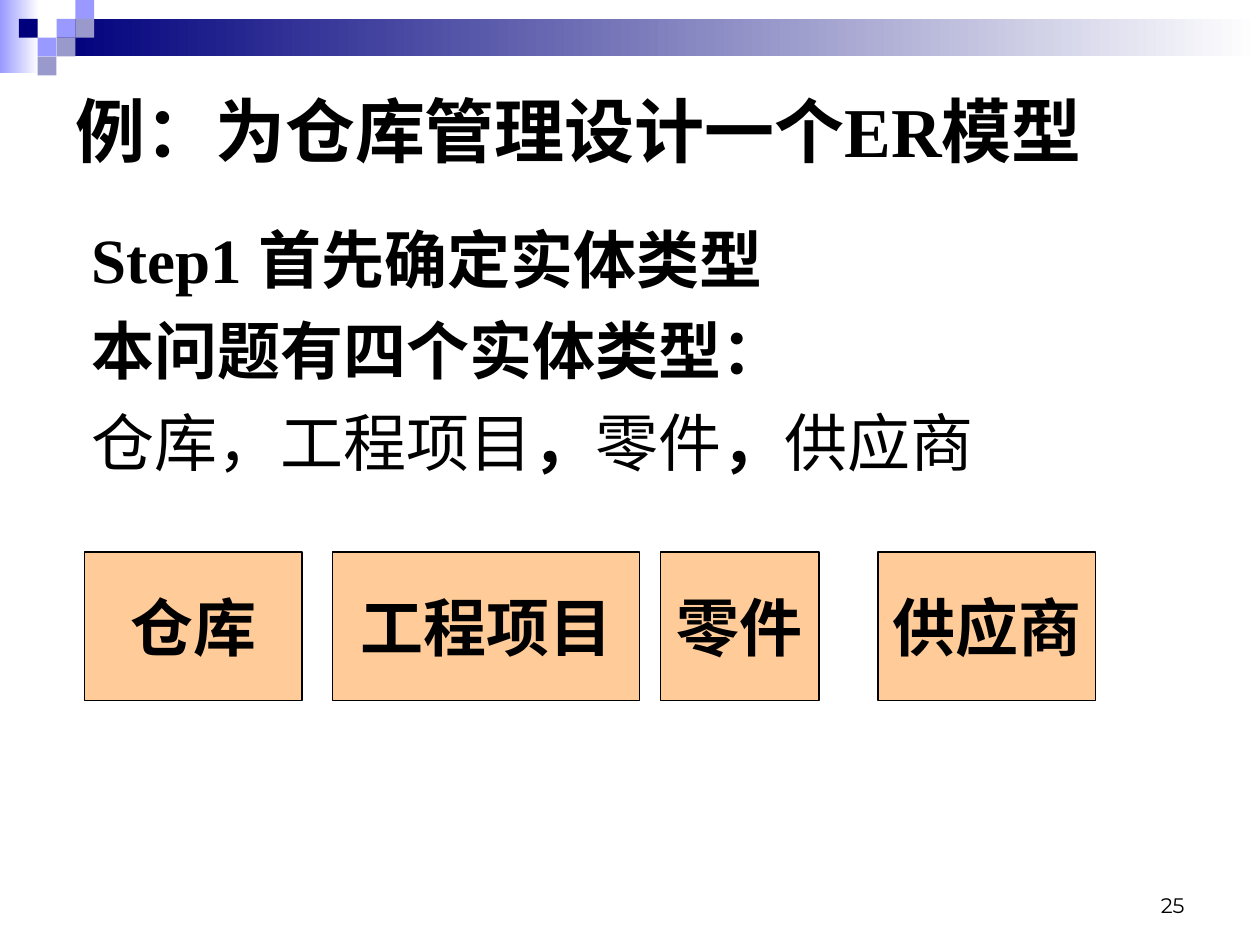
from dataclasses import dataclass

from pptx import Presentation
from pptx.dml.color import RGBColor
from pptx.enum.shapes import MSO_SHAPE
from pptx.enum.text import MSO_ANCHOR, PP_ALIGN
from pptx.util import Cm, Pt

RECTANGLE = MSO_SHAPE.RECTANGLE
TOP, MIDDLE, BOTTOM = MSO_ANCHOR.TOP, MSO_ANCHOR.MIDDLE, MSO_ANCHOR.BOTTOM
LEFT, CENTER, RIGHT = PP_ALIGN.LEFT, PP_ALIGN.CENTER, PP_ALIGN.RIGHT


@dataclass(frozen=True)
class Theme:
    navy: str = "00007D"
    periwinkle: str = "9999FF"
    lavender: str = "9999CC"
    white: str = "FFFFFF"
    black: str = "000000"
    entity_fill: str = "FFCC99"
    text_font: str = "Times New Roman"
    entity_font: str = "Lato"
    number_font: str = "Montserrat"
    title_size: int = 40
    body_size: int = 36
    number_size: int = 12
    line_width: float = 0.75


THEME = Theme()

TITLE = "例：为仓库管理设计一个ER模型"
# Each paragraph is a list of (text, bold) runs.
BODY = [
    [("Step1 首先确定实体类型", True)],
    [("本问题有四个实体类型：", True)],
    [("仓库，工程项目", False), ("，", True), ("零件", False),
     ("，", True), ("供应商", False)],
]
PAGE_NUMBER = "25"

# Entity name, left and width in centimetres.
ENTITIES = [
    ("仓库", 1.7, 4.39),
    ("工程项目", 6.7, 6.2),
    ("零件", 13.31, 3.2),
    ("供应商", 17.7, 4.39),
]
ENTITY_TOP, ENTITY_HEIGHT = 11.13, 3

# Left, top, width, height in centimetres, then the starting colour.
GRADIENT_BARS = [
    (0, 0, 0.79, 1.47, THEME.periwinkle),
    (1.14, 0.38, 24.26, 0.76, THEME.navy),
]
MOSAIC_CELL = 0.38
# Column, row, colour.
MOSAIC = [
    (3, 1, THEME.periwinkle),
    (4, 0, THEME.periwinkle),
    (4, 1, THEME.lavender),
    (2, 2, THEME.periwinkle),
    (1, 1, THEME.navy),
    (3, 2, THEME.lavender),
    (2, 3, THEME.lavender),
]


def color(value):
    return RGBColor.from_string(value)


def add_rectangle(slide, left, top, width, height, fill=None):
    shape = slide.shapes.add_shape(
        RECTANGLE, Cm(left), Cm(top), Cm(width), Cm(height))
    shape.shadow.inherit = False
    shape.line.fill.background()
    if fill:
        shape.fill.solid()
        shape.fill.fore_color.rgb = color(fill)
    return shape


def add_gradient_bar(slide, left, top, width, height, start):
    """Add a bar that fades from its starting colour to white."""
    fill = add_rectangle(slide, left, top, width, height).fill
    fill.gradient()
    fill.gradient_angle = 0
    for stop, value in zip(fill.gradient_stops, (start, THEME.white)):
        stop.color.rgb = color(value)


def format_run(run, font, size, bold):
    run.font.name = font
    run.font.size = Pt(size)
    run.font.bold = bold
    run.font.color.rgb = color(THEME.black)


def add_text(slide, text, box, font, size, bold, anchor, alignment=LEFT):
    shape = slide.shapes.add_textbox(*(Cm(length) for length in box))
    text_frame = shape.text_frame
    text_frame.word_wrap = True
    text_frame.vertical_anchor = anchor
    text_frame.text = text
    paragraph = text_frame.paragraphs[0]
    paragraph.alignment = alignment
    for run in paragraph.runs:
        format_run(run, font, size, bold)
    return text_frame


def add_body(slide):
    text_frame = add_text(slide, "", (1.6, 4.32, 22.86, 12.4),
                          THEME.text_font, THEME.body_size, True, TOP)
    for index, runs in enumerate(BODY):
        paragraph = text_frame.add_paragraph() if index else text_frame.paragraphs[0]
        paragraph.space_before = Pt(9)
        properties = paragraph._p.get_or_add_pPr()
        properties.set("marL", str(Cm(0.95)))
        properties.set("indent", str(-Cm(0.95)))
        for text, bold in runs:
            run = paragraph.add_run()
            run.text = text
            format_run(run, THEME.text_font, THEME.body_size, bold)


def add_entity(slide, name, left, width):
    shape = add_rectangle(slide, left, ENTITY_TOP, width, ENTITY_HEIGHT,
                          THEME.entity_fill)
    shape.line.color.rgb = color(THEME.black)
    shape.line.width = Pt(THEME.line_width)
    text_frame = shape.text_frame
    text_frame.margin_left = text_frame.margin_right = 0
    text_frame.margin_top = text_frame.margin_bottom = 0
    text_frame.word_wrap = False
    text_frame.vertical_anchor = MIDDLE
    text_frame.text = name
    paragraph = text_frame.paragraphs[0]
    paragraph.alignment = CENTER
    format_run(paragraph.runs[0], THEME.entity_font, THEME.body_size, True)


def main():
    presentation = Presentation()
    presentation.slide_width = Cm(25.4)
    presentation.slide_height = Cm(19.05)
    slide = presentation.slides.add_slide(presentation.slide_layouts[6])

    for bar in GRADIENT_BARS:
        add_gradient_bar(slide, *bar)
    for column, row, fill in MOSAIC:
        add_rectangle(slide, column * MOSAIC_CELL, row * MOSAIC_CELL,
                      MOSAIC_CELL, MOSAIC_CELL, fill)

    add_text(slide, TITLE, (1.27, 1.27, 22.86, 2.67),
             THEME.text_font, THEME.title_size, True, MIDDLE)
    add_body(slide)
    add_text(slide, PAGE_NUMBER, (18.2, 17.35, 5.93, 1.27),
             THEME.number_font, THEME.number_size, False, BOTTOM, RIGHT)
    for entity in ENTITIES:
        add_entity(slide, *entity)

    presentation.save("out.pptx")


if __name__ == "__main__":
    main()
